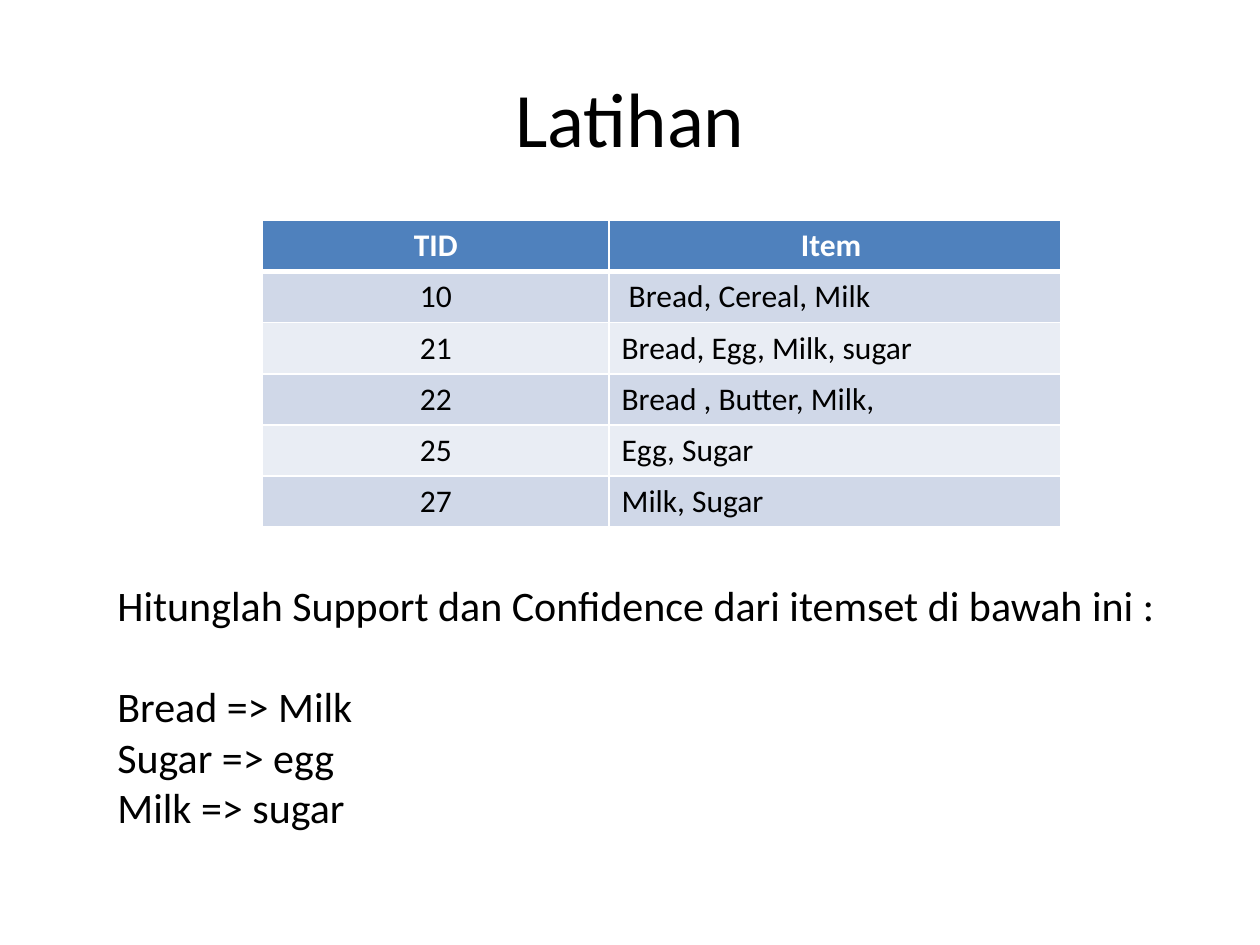
from lxml import etree
from pptx import Presentation
from pptx import util as u
from pptx.dml import color
from pptx.enum import text
from pptx.oxml import ns

LEFT, CENTER = text.PP_ALIGN.LEFT, text.PP_ALIGN.CENTER


def rgb(value):
    return color.RGBColor.from_string(value)


class Page:
    font = "Calibri"
    ink, paper = "000000", "FFFFFF"
    header, bands = "4F81BD", ("D0D8E8", "E9EDF4")

    def __init__(self, deck):
        self.slide = deck.slides.add_slide(deck.slide_layouts[6])

    def style(self, paragraph, size, ink=ink, bold=False, align=LEFT):
        paragraph.alignment = align
        for run in paragraph.runs:
            run.font.name = self.font
            run.font.size = u.Pt(size)
            run.font.bold = bold
            run.font.color.rgb = rgb(ink)

    def text(self, box, lines, size, align=LEFT, anchor=text.MSO_ANCHOR.TOP, wrap=True):
        frame = self.slide.shapes.add_textbox(*map(u.Pt, box)).text_frame
        frame.word_wrap = wrap
        frame.vertical_anchor = anchor
        frame.text = "\n".join(lines)
        for paragraph in frame.paragraphs:
            self.style(paragraph, size, align=align)
        return frame

    def border(self, cell, side, width):
        line = etree.SubElement(cell._tc.get_or_add_tcPr(), ns.qn(f"a:{side}"), w=str(u.Pt(width)))
        fill = etree.SubElement(line, ns.qn("a:solidFill"))
        etree.SubElement(fill, ns.qn("a:srgbClr"), val=self.paper)

    def table(self, left, top, widths, row_height, rows, size):
        box = (left, top, sum(widths), row_height * len(rows))
        grid = self.slide.shapes.add_table(len(rows), len(widths), *map(u.Pt, box)).table
        for column, width in zip(grid.columns, widths):
            column.width = u.Pt(width)
        for r, values in enumerate(rows):
            grid.rows[r].height = u.Pt(row_height)
            head = r == 0
            for c, value in enumerate(values):
                cell = grid.cell(r, c)
                cell.text = value
                self.style(cell.text_frame.paragraphs[0], size,
                           self.paper if head else self.ink, head,
                           CENTER if head or c == 0 else LEFT)
                for side in ("lnL", "lnR", "lnT", "lnB"):
                    thick = (r, side) in ((0, "lnB"), (1, "lnT"))
                    self.border(cell, side, 3 if thick else 1)
                cell.fill.solid()
                cell.fill.fore_color.rgb = rgb(self.header if head else self.bands[(r - 1) % 2])


deck = Presentation()
deck.slide_width, deck.slide_height = u.Pt(720), u.Pt(540)
page = Page(deck)

page.text((36, 21.6, 648, 90), ["Latihan"], 44, CENTER, text.MSO_ANCHOR.MIDDLE)

transactions = [
    ("TID", "Item "),
    ("10", " Bread, Cereal, Milk"),
    ("21", "Bread, Egg, Milk, sugar"),
    ("22", "Bread , Butter, Milk, "),
    ("25", "Egg, Sugar"),
    ("27", "Milk, Sugar"),
]
page.table(150, 126, (198, 258), 29.2, transactions, 18)

exercise = page.text((60, 327.6, 612.5, 152.6), [
    "Hitunglah Support dan Confidence dari itemset di bawah ini :",
    "Bread => Milk",
    "Sugar => egg",
    "Milk => sugar",
], 24, wrap=False)
exercise.paragraphs[0].space_after = u.Pt(29)

deck.save("out.pptx")
